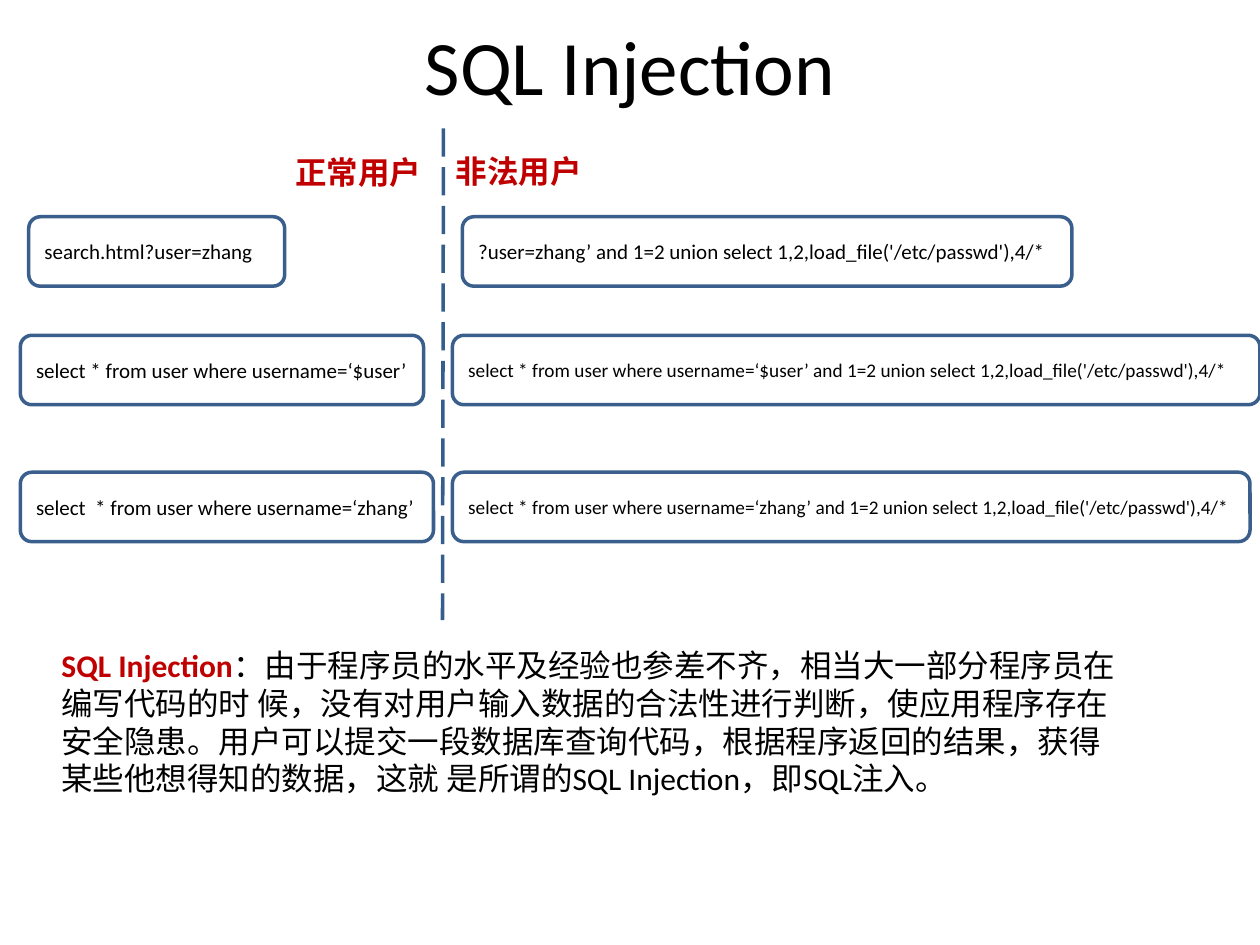
from lxml.etree import SubElement
from pptx import Presentation
from pptx.dml.color import RGBColor
from pptx.enum.dml import MSO_LINE
from pptx.enum.shapes import MSO_CONNECTOR, MSO_SHAPE
from pptx.enum.text import MSO_ANCHOR, PP_ALIGN
from pptx.oxml.ns import qn
from pptx.util import Cm, Pt

FONT = "Calibri"
BLACK = RGBColor(0x00, 0x00, 0x00)
RED = RGBColor(0xC0, 0x00, 0x00)
BOX_BLUE = RGBColor(0x3A, 0x5F, 0x8C)
DIVIDER_BLUE = RGBColor(0x35, 0x5D, 0x8D)

TITLE = "SQL Injection"
HEADINGS = [
    ("正常用户", 5.16, 2.97, PP_ALIGN.RIGHT),
    ("非法用户", 8.94, 2.95, PP_ALIGN.LEFT),
]
BOX_HEIGHT = 1.4
ATTACK = "’ and 1=2 union select 1,2,load_file('/etc/passwd'),4/*"
STEPS = [
    (4.37, [("search.html?user=zhang", 0.58, 5.16, 12),
            ("?user=zhang" + ATTACK, 9.32, 12.29, 12)]),
    (6.76, [("select * from user where username=‘$user’", 0.41, 8.13, 12),
            ("select * from user where username=‘$user" + ATTACK, 9.12, 16.28, 11)]),
    (9.52, [("select  * from user where username=‘zhang’", 0.41, 8.33, 12),
            ("select * from user where username=‘zhang" + ATTACK, 9.12, 16.08, 11)]),
]
TERM = "SQL Injection"
DEFINITION = (
    "：由于程序员的水平及经验也参差不齐，相当大一部分程序员在编写代码的时 候，"
    "没有对用户输入数据的合法性进行判断，使应用程序存在安全隐患。"
    "用户可以提交一段数据库查询代码，根据程序返回的结果，"
    "获得某些他想得知的数据，这就 是所谓的SQL Injection，即SQL注入。"
)


def style(run, size, color=BLACK, bold=False):
    run.font.name = FONT
    run.font.size = Pt(size)
    run.font.bold = bold
    run.font.color.rgb = color


def add_paragraph_box(slide, parts, left, top, width, height, align=PP_ALIGN.LEFT):
    frame = slide.shapes.add_textbox(Cm(left), Cm(top), Cm(width), Cm(height)).text_frame
    frame.word_wrap = True
    paragraph = frame.paragraphs[0]
    paragraph.alignment = align
    for text, color, bold in parts:
        run = paragraph.add_run()
        run.text = text
        style(run, 18, color, bold)


def add_query(slide, query, left, top, width, size):
    box = slide.shapes.add_shape(
        MSO_SHAPE.ROUNDED_RECTANGLE, Cm(left), Cm(top), Cm(width), Cm(BOX_HEIGHT))
    box.shadow.inherit = False
    box.fill.background()
    box.line.color.rgb = BOX_BLUE
    box.line.width = Pt(2)
    frame = box.text_frame
    frame.word_wrap = True
    frame.vertical_anchor = MSO_ANCHOR.MIDDLE
    frame.text = query
    paragraph = frame.paragraphs[0]
    paragraph.alignment = PP_ALIGN.LEFT
    style(paragraph.runs[0], size)


def add_divider(slide):
    divider = slide.shapes.add_connector(
        MSO_CONNECTOR.STRAIGHT, Cm(8.94), Cm(2.59), Cm(8.92), Cm(12.5))
    divider.line.color.rgb = DIVIDER_BLUE
    divider.line.width = Pt(2)
    divider.line.dash_style = MSO_LINE.LONG_DASH
    SubElement(divider.element.spPr, qn("a:effectLst"))


def main():
    deck = Presentation()
    deck.slide_width, deck.slide_height = Cm(25.4), Cm(19.05)
    slide = deck.slides.add_slide(deck.slide_layouts[5])

    title = slide.shapes.title
    title.left, title.top, title.width, title.height = Cm(1.27), Cm(-0.28), Cm(22.86), Cm(3.18)
    title.text_frame.text = TITLE
    title.text_frame.vertical_anchor = MSO_ANCHOR.MIDDLE
    title.text_frame.paragraphs[0].alignment = PP_ALIGN.CENTER
    style(title.text_frame.paragraphs[0].runs[0], 44)

    add_paragraph_box(slide, [(TERM, RED, True), (DEFINITION, BLACK, False)],
                      0.99, 12.9, 21.82, 3.33)
    for top, queries in STEPS:
        for query, left, width, size in queries:
            add_query(slide, query, left, top, width, size)
    add_divider(slide)
    for heading, left, top, align in HEADINGS:
        add_paragraph_box(slide, [(heading, RED, True)], left, top, 3.58, 1.02, align)

    deck.save("out.pptx")


if __name__ == "__main__":
    main()
